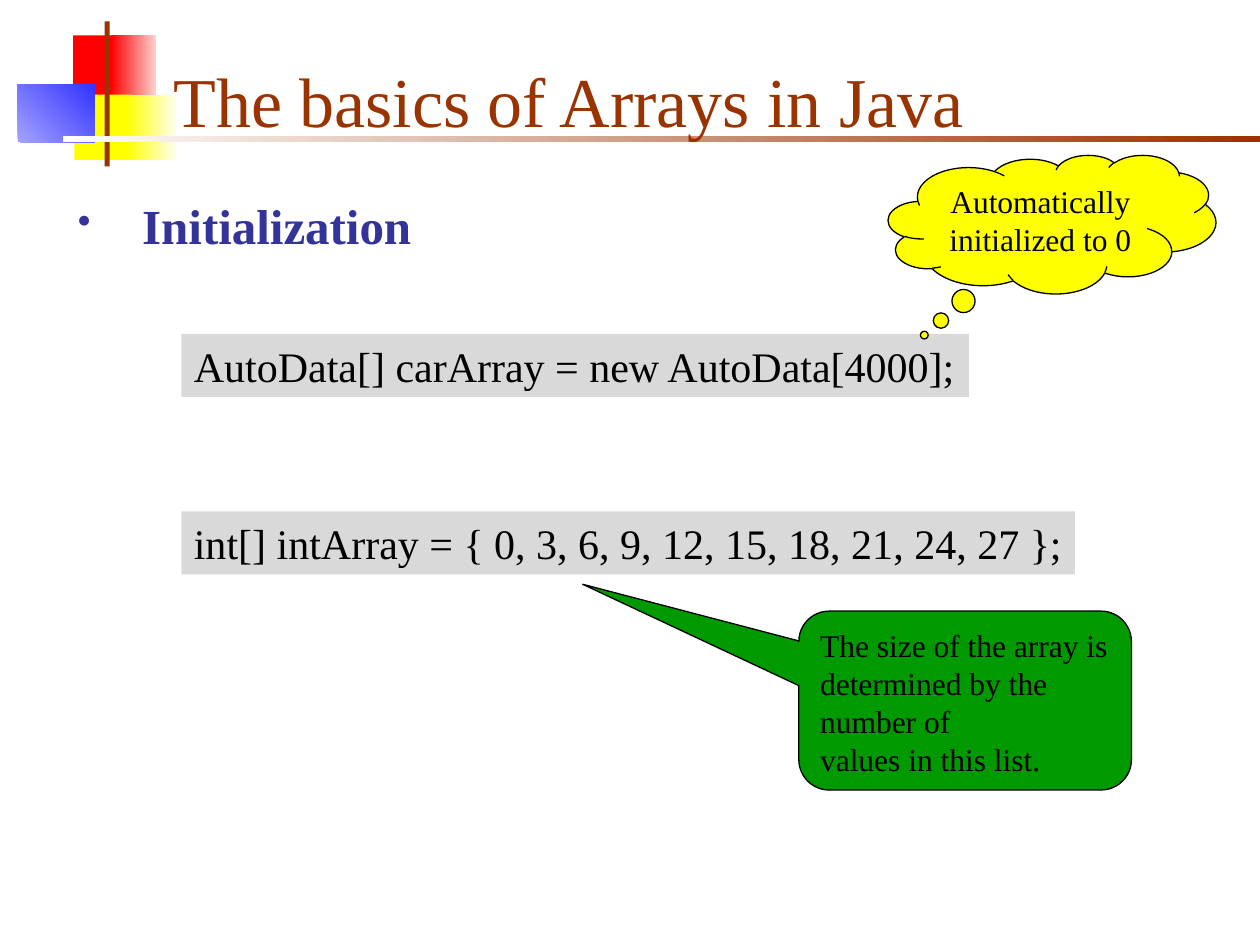
from lxml import etree
from pptx import Presentation
from pptx.dml.color import RGBColor
from pptx.enum.shapes import MSO_SHAPE
from pptx.enum.text import MSO_ANCHOR, MSO_AUTO_SIZE, PP_ALIGN
from pptx.oxml.ns import qn
from pptx.util import Emu, Inches, Pt

RECT = MSO_SHAPE.RECTANGLE
CLOUD = MSO_SHAPE.CLOUD_CALLOUT
WEDGE = MSO_SHAPE.ROUNDED_RECTANGULAR_CALLOUT
TOP, MIDDLE, BOTTOM = MSO_ANCHOR.TOP, MSO_ANCHOR.MIDDLE, MSO_ANCHOR.BOTTOM
LEFT, CENTER = PP_ALIGN.LEFT, PP_ALIGN.CENTER
FIT = MSO_AUTO_SIZE.SHAPE_TO_FIT_TEXT

FONT = "Times New Roman"
BLACK, BROWN, NAVY = "000000", "993300", "333399"
GREY, YELLOW, GREEN = "D9D9D9", "FFFF00", "009900"


def color(code):
    return RGBColor.from_string(code)


def add_box(slide, kind, box, fill, line=None):
    shape = slide.shapes.add_shape(kind, *map(Inches, box))
    shape.shadow.inherit = False
    shape.fill.solid()
    shape.fill.fore_color.rgb = color(fill)
    if line:
        shape.line.color.rgb = color(line)
        shape.line.width = Pt(0.75)
    else:
        shape.line.fill.background()
    return shape


def add_fade(slide, box, start, end, angle):
    shape = add_box(slide, RECT, box, end)
    shape.fill.gradient()
    shape.fill.gradient_angle = angle
    for stop, code in zip(shape.fill.gradient_stops, (start, end)):
        stop.color.rgb = color(code)


def set_text(shape, text, size, code=BLACK, bold=False, align=LEFT,
             anchor=TOP, wrap=True):
    frame = shape.text_frame
    frame.text = text
    frame.word_wrap = wrap
    frame.vertical_anchor = anchor
    for para in frame.paragraphs:
        para.alignment = align
        for run in para.runs:
            run.font.name = FONT
            run.font.size = Pt(size)
            run.font.bold = bold
            run.font.color.rgb = color(code)
    return frame.paragraphs[0]


def add_label(slide, box, text, size, code, spacing, **style):
    shape = slide.shapes.add_textbox(*map(Inches, box))
    para = set_text(shape, text, size, code, **style)
    para.line_spacing = Pt(spacing)
    return para


def indent(para, margin, first=0):
    props = para._p.get_or_add_pPr()
    props.set("marL", str(Inches(margin)))
    props.set("indent", str(Inches(first)))
    return props


def add_bullet(para, code):
    props = indent(para, 0.61, -0.51)
    tint = etree.SubElement(props, qn("a:buClr"))
    etree.SubElement(tint, qn("a:srgbClr"), val=code)
    etree.SubElement(props, qn("a:buSzPct"), val="77000")
    etree.SubElement(props, qn("a:buChar"), char="•")


def add_code(slide, top, width, text):
    shape = add_box(slide, RECT, (1.44, top, width, 0.5), GREY)
    set_text(shape, text, 24, anchor=MIDDLE, wrap=False)
    shape.text_frame.auto_size = FIT


def add_note(slide, kind, box, fill, tail, text, align=LEFT):
    shape = add_box(slide, kind, box, fill, BLACK)
    for place, value in enumerate(tail):
        shape.adjustments[place] = value
    set_text(shape, text, 18, align=align)


def add_decor(slide):
    add_box(slide, RECT, (0.58, 0.28, 0.35, 0.52), "FF0000")
    add_fade(slide, (0.88, 0.28, 0.36, 0.52), "FFD1D1", "FF0000", 180)
    add_box(slide, RECT, (0.59, 0.75, 0.46, 0.52), YELLOW)
    add_fade(slide, (1, 0.75, 0.4, 0.52), "FFFFEF", YELLOW, 180)
    add_fade(slide, (0.14, 0.67, 0.61, 0.46), "A3A3FF", "3333FF", 45)
    add_box(slide, RECT, (0.83, 0.17, 0.04, 1.15), BROWN)
    add_fade(slide, (0.5, 1.08, 9.5, 0.05), "FFFFFF", BROWN, 0)


def main():
    deck = Presentation()
    deck.slide_width, deck.slide_height = Inches(10), Inches(7.5)
    slide = deck.slides.add_slide(deck.slide_layouts[6])

    # Corner blocks and rules
    add_decor(slide)

    # Heading and topic
    topic = add_label(slide, (0.42, 1.5, 9.38, 0.68), "Initialization",
                      28, NAVY, 34, bold=True)
    add_bullet(topic, NAVY)
    title = add_label(slide, (1.22, 0.25, 8.63, 0.92),
                      "The basics of Arrays in Java", 40, BROWN, 48,
                      anchor=BOTTOM)
    indent(title, 0.06)

    # Code lines
    add_code(slide, 2.65, 6.25, "AutoData[] carArray = new AutoData[4000];")
    add_code(slide, 4.06, 7.09,
             "int[] intArray = { 0, 3, 6, 9, 12, 15, 18, 21, 24, 27 };")

    # Callouts
    add_note(slide, CLOUD, (7.05, 1.23, 2.6, 1.1), YELLOW, (-0.39, 0.8),
             "Automatically initialized to 0", CENTER)
    add_note(slide, WEDGE, (6.34, 4.85, 2.64, 1.42), GREEN,
             (-1.15, -0.65, 0.17),
             "The size of the array is determined by the number of\n"
             "values in this list.")

    deck.save("out.pptx")


if __name__ == "__main__":
    main()
